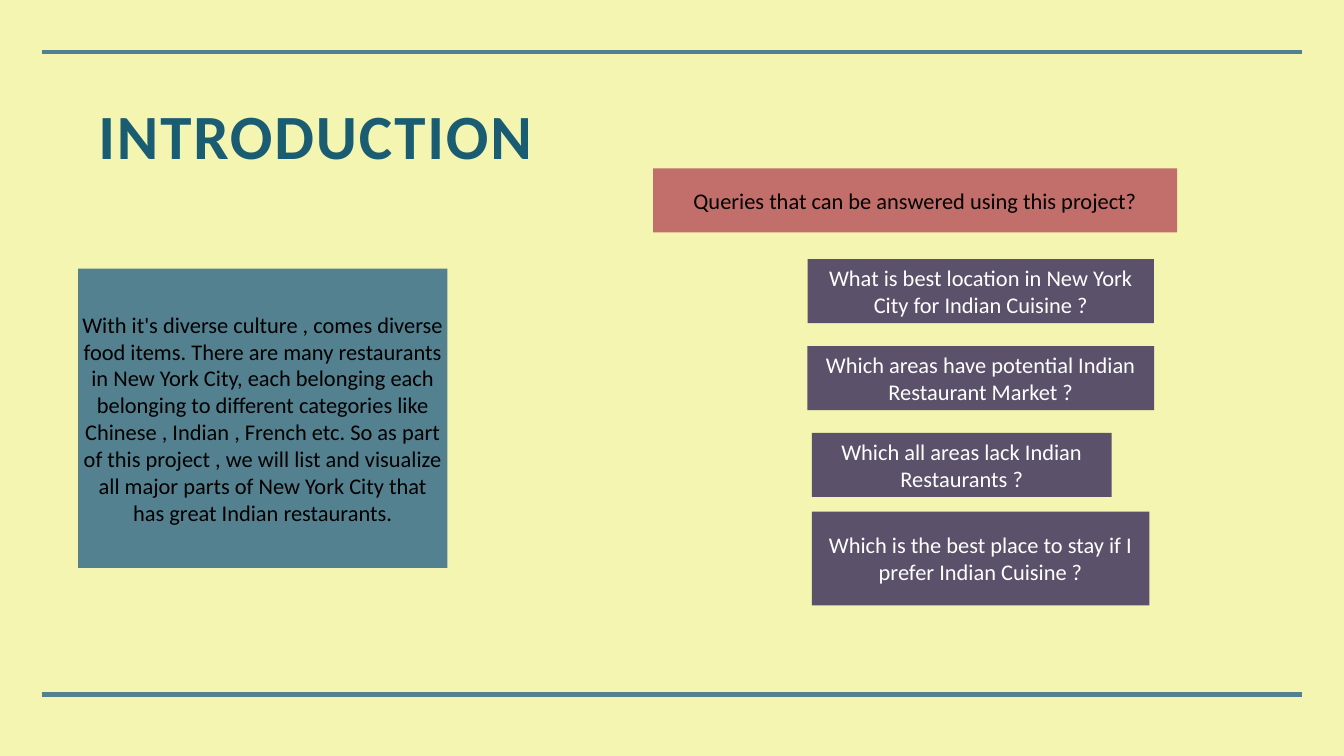
import dataclasses
import typing

import pptx
import pptx.dml.color
import pptx.enum.shapes
import pptx.enum.text
import pptx.oxml.ns
import pptx.util
from lxml import etree

RGB = pptx.dml.color.RGBColor
CREAM = RGB(0xF3, 0xF5, 0xB1)
TEAL = RGB(0x54, 0x81, 0x8F)
NAVY = RGB(0x1A, 0x5C, 0x71)
ROSE = RGB(0xC2, 0x6E, 0x6A)
PLUM = RGB(0x5B, 0x51, 0x6A)
BLACK = RGB(0, 0, 0)
WHITE = RGB(0xFF, 0xFF, 0xFF)

WIDE, HIGH = pptx.util.Inches(26.67), pptx.util.Inches(15)
INSET = pptx.util.Inches(0.06)
RULES = (6.93, 91.87)
RULE_LEFT, RULE_RIGHT = 3.15, 96.85
TOP, STEP, ROW = 34.27, 11.5, 8.47


@dataclasses.dataclass
class Box:
    """A place in percent of the slide's width and height."""
    left: float
    top: float
    width: float
    height: float

    def place(self) -> tuple:
        return across(self.left), down(self.top), across(self.width), down(self.height)


@dataclasses.dataclass
class Card:
    box: Box
    text: str
    fill: RGB
    ink: RGB = BLACK


CARDS = [
    Card(Box(5.81, 35.53, 27.48, 39.6),
         "With it's diverse culture , comes diverse food items. There are many "
         "restaurants in New York City, each belonging each belonging to different "
         "categories like Chinese , Indian , French etc. So as part of this project , "
         "we will list and visualize all major parts of New York City that has great "
         "Indian restaurants.", TEAL),
    Card(Box(48.59, 22.27, 39, ROW),
         "Queries that can be answered using this project?", ROSE),
    Card(Box(60.1, TOP, 25.76, ROW),
         "What is best location in New York City for Indian Cuisine ?", PLUM, WHITE),
    Card(Box(60.07, TOP + STEP, 25.8, ROW),
         "Which areas have potential Indian Restaurant Market ?", PLUM, WHITE),
    Card(Box(60.4, TOP + 2 * STEP, 22.31, ROW),
         "Which all areas lack Indian Restaurants ?", PLUM, WHITE),
    Card(Box(60.4, 67.67, 25.12, 12.4),
         "Which is the best place to stay if I prefer Indian Cuisine ?", PLUM, WHITE),
]


def across(share: float) -> int:
    return round(WIDE * share / 100)


def down(share: float) -> int:
    return round(HIGH * share / 100)


def write(shape: typing.Any, text: str, *, size: float, ink: RGB, bold: bool = False,
          lines: float = 1.0, track: float = 0, grow: bool = False) -> None:
    """Set centred text; track is the letter spacing in points."""
    frame = shape.text_frame
    frame.word_wrap = True
    frame.vertical_anchor = pptx.enum.text.MSO_ANCHOR.MIDDLE
    frame.margin_left = frame.margin_right = INSET
    frame.margin_top = frame.margin_bottom = INSET
    fit = pptx.enum.text.MSO_AUTO_SIZE
    frame.auto_size = fit.SHAPE_TO_FIT_TEXT if grow else fit.NONE
    para = frame.paragraphs[0]
    para.alignment = pptx.enum.text.PP_ALIGN.CENTER
    para.line_spacing = lines
    run = para.add_run()
    run.text = text
    run.font.name = "Calibri"
    run.font.size = pptx.util.Pt(size)
    run.font.bold = bold
    run.font.color.rgb = ink
    if track:
        run.font._element.set("spc", str(round(track * 100)))


def draw_rule(slide: typing.Any, top: float) -> None:
    rule = slide.shapes.add_connector(
        pptx.enum.shapes.MSO_CONNECTOR.STRAIGHT,
        across(RULE_LEFT), down(top), across(RULE_RIGHT), down(top))
    rule.line.color.rgb = TEAL
    rule.line.width = pptx.util.Pt(6)
    etree.SubElement(rule._element.spPr, pptx.oxml.ns.qn("a:effectLst"))


def draw_card(slide: typing.Any, card: Card) -> None:
    shape = slide.shapes.add_shape(
        pptx.enum.shapes.MSO_SHAPE.RECTANGLE, *card.box.place())
    shape.shadow.inherit = False
    shape.fill.solid()
    shape.fill.fore_color.rgb = card.fill
    shape.line.fill.background()
    write(shape, card.text, size=32, ink=card.ink, grow=True)


def main() -> None:
    deck = pptx.Presentation()
    deck.slide_width, deck.slide_height = WIDE, HIGH
    slide = deck.slides.add_slide(deck.slide_layouts[6])
    slide.background.fill.solid()
    slide.background.fill.fore_color.rgb = CREAM
    for top in RULES:
        draw_rule(slide, top)
    title = slide.shapes.add_textbox(*Box(-17.96, 1.27, 82.86, 34.27).place())
    write(title, "INTRODUCTION", size=90, ink=NAVY, bold=True, lines=0.9, track=2.7)
    for card in CARDS:
        draw_card(slide, card)
    deck.save("out.pptx")


if __name__ == "__main__":
    main()
